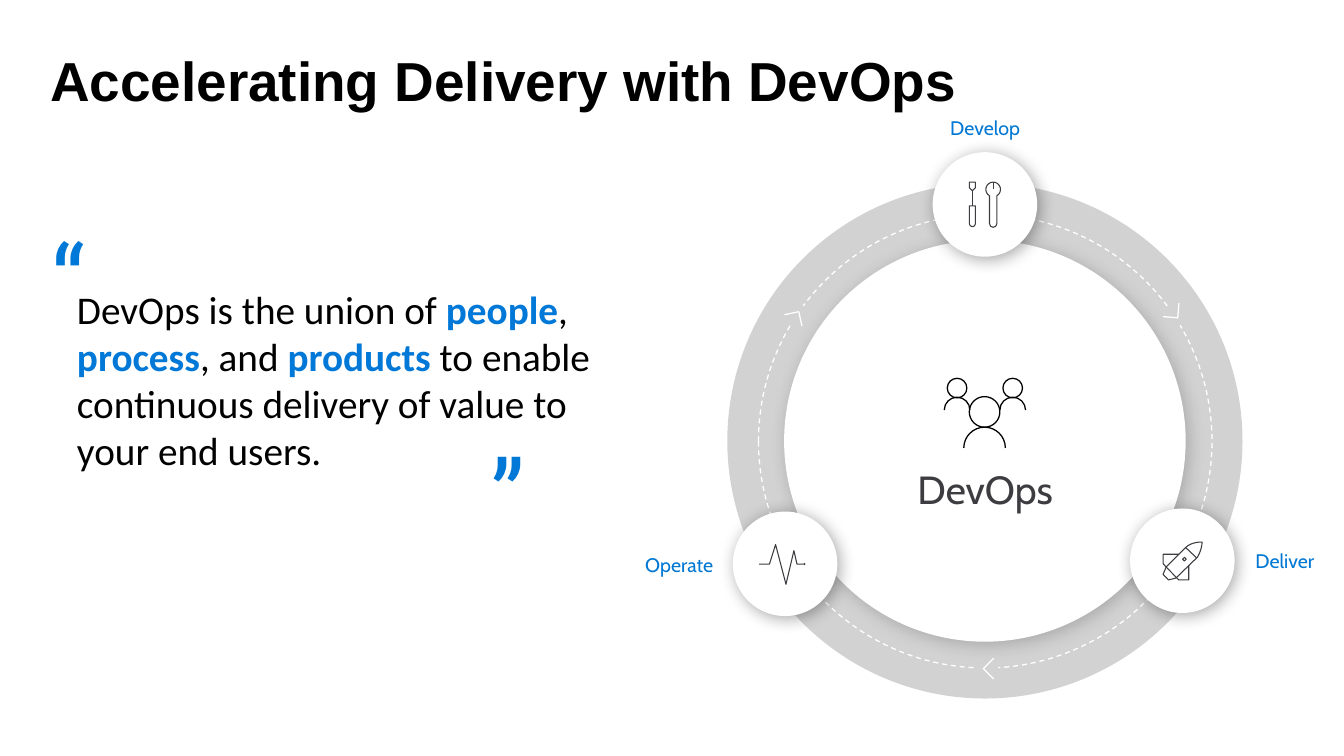
from dataclasses import dataclass
from math import ceil, cos, radians, sin, tan

from lxml.etree import SubElement
from pptx import Presentation
from pptx.dml.color import RGBColor
from pptx.enum.dml import MSO_LINE
from pptx.enum.shapes import MSO_SHAPE
from pptx.enum.text import MSO_ANCHOR, PP_ALIGN
from pptx.oxml.ns import qn
from pptx.util import Inches, Pt


@dataclass(frozen=True)
class Theme:
    black: str = "000000"
    white: str = "FFFFFF"
    ring: str = "D2D2D2"
    icon: str = "3C3C41"
    accent: str = "0078D7"
    label: str = "0078D4"
    title_size: float = 64.7
    body_size: float = 46.2
    label_size: float = 23.1
    quote_size: float = 105.5
    title_font: str = "Arial"
    body_font: str = "Calibri"
    label_font: str = "Cabin"
    quote_font: str = "Roboto Slab"


def straight(*points):
    return [point for point in points for _ in range(3)]


def corners(*points):
    return [points[0]] + straight(*points[1:])


def arc(x, y, radius, start=0, end=360):
    count = ceil((end - start) / 90)
    step = radians(end - start) / count
    reach = 4 / 3 * tan(step / 4)

    def spot(angle, pull=0):
        return (x + radius * (cos(angle) - pull * sin(angle)),
                y + radius * (sin(angle) + pull * cos(angle)))

    points = [spot(radians(start))]
    for index in range(count):
        angle = radians(start) + index * step
        points += [spot(angle, reach), spot(angle + step, -reach), spot(angle + step)]
    return points


class SlideBuilder:
    def __init__(self, page, theme):
        self.page = page
        self.theme = theme

    def finish(self, shape, fill=None, line=None, width=1.5, dash=None, shadow=None):
        shape.shadow.inherit = False
        if fill:
            shape.fill.solid()
            shape.fill.fore_color.rgb = RGBColor.from_string(fill)
        else:
            shape.fill.background()
        if line:
            shape.line.color.rgb = RGBColor.from_string(line)
            shape.line.width = Pt(width)
            shape.line.dash_style = dash
        else:
            shape.line.fill.background()
        if shadow:
            self.cast_shadow(shape, shadow)
        return shape

    def cast_shadow(self, shape, opacity):
        effects = shape._element.spPr.find(qn("a:effectLst"))
        outer = SubElement(effects, qn("a:outerShdw"), blurRad=str(Pt(20)),
                           dist=str(Pt(4)), dir=str(45 * 60000), rotWithShape="0")
        color = SubElement(outer, qn("a:srgbClr"), val=self.theme.black)
        SubElement(color, qn("a:alpha"), val=str(opacity * 1000))

    def shape(self, kind, x, y, width, height, rotation=0, **style):
        shape = self.page.shapes.add_shape(
            kind, Inches(x), Inches(y), Inches(width), Inches(height))
        shape.rotation = rotation
        return self.finish(shape, **style)

    def circle(self, x, y, diameter, **style):
        return self.shape(MSO_SHAPE.OVAL, x, y, diameter, diameter, **style)

    def outline(self, strokes, **style):
        scaled = [([(Inches(x), Inches(y)) for x, y in points], closed)
                  for points, closed in strokes]
        builder = self.page.shapes.build_freeform(*scaled[0][0][0])
        for index, (points, closed) in enumerate(scaled):
            if index:
                builder.move_to(*points[0])
            builder.add_line_segments(points[1:], close=closed)
        return self.finish(builder.convert_to_shape(), **style)

    def curves(self, strokes, **style):
        shape = self.outline(strokes, **style)
        lines = list(shape._element.iter(qn("a:lnTo")))
        for curve, *others in zip(lines[::3], lines[1::3], lines[2::3]):
            curve.tag = qn("a:cubicBezTo")
            for other in others:
                curve.append(other[0])
                other.getparent().remove(other)

    def arrow(self, block_x, block_y, tip_x, tip_y, back):
        ring, white = self.theme.ring, self.theme.white
        self.shape(MSO_SHAPE.RECTANGLE, block_x, block_y, 0.35, 0.33, back, fill=ring)
        first, last = [(tip_x + 0.24 * cos(radians(back + turn)),
                        tip_y + 0.24 * sin(radians(back + turn))) for turn in (-45, 45)]
        self.outline([([first, (tip_x, tip_y), last], False)], fill=ring, line=white)

    def text(self, x, y, width, height, spans, font, size, align=PP_ALIGN.LEFT,
             anchor=MSO_ANCHOR.TOP, wrap=False, inset=(0, 0), spacing=None):
        box = self.page.shapes.add_textbox(
            Inches(x), Inches(y), Inches(width), Inches(height))
        side, edge = map(Inches, inset)
        frame_format = {
            "word_wrap": wrap, "vertical_anchor": anchor,
            "margin_left": side, "margin_right": side,
            "margin_top": edge, "margin_bottom": edge,
        }
        for name, value in frame_format.items():
            setattr(box.text_frame, name, value)
        para = box.text_frame.paragraphs[0]
        para.alignment = align
        para.line_spacing = spacing
        for words, color, bold in spans:
            span = para.add_run()
            span.text = words
            for name, value in {"name": font, "size": Pt(size), "bold": bold}.items():
                setattr(span.font, name, value)
            span.font.color.rgb = RGBColor.from_string(color)

    def label(self, x, y, width, words, align, size, color, side=0.33):
        self.text(x, y, width, 0.49, [(words, color, False)], self.theme.label_font,
                  size, align, MSO_ANCHOR.MIDDLE, inset=(side, 0))


TOOLS = [
    (arc(16.25, 3.1, 0.12, 120, 420) + straight((16.31, 3.66))
     + arc(16.25, 3.66, 0.06, 0, 180)[1:], True),
    (corners((15.86, 3.37), (15.96, 3.37), (15.96, 3.66))
     + arc(15.91, 3.66, 0.05, 0, 180)[1:], True),
    (corners((15.96, 2.98), (15.86, 2.98), (15.86, 3.07), (15.91, 3.12),
             (15.96, 3.07)), True),
    (corners((15.91, 3.12), (15.91, 3.37)), False),
    (corners((16.25, 2.98), (16.25, 3.1)), False),
]
PULSE = [
    (corners((12.42, 9.23), (12.59, 9.23), (12.69, 8.91), (12.86, 9.56),
             (12.99, 9.01), (13.04, 9.23), (13.14, 9.23)), False),
    (arc(13.16, 9.23, 0.01), True),
]
ROCKET = [
    ([(19.67, 8.87), (19.66, 9.02), (19.59, 9.12), (19.59, 9.12)]
     + straight((19.24, 9.46), (19.12, 9.49), (19.03, 9.4), (19.08, 9.28), (19.4, 8.96))
     + [(19.5, 8.86), (19.67, 8.87), (19.67, 8.87)], True),
    (corners((19.4, 8.96), (19.58, 9.13)), False),
    (corners((19.29, 9.07), (19.03, 9.07), (19.03, 9.22), (19.08, 9.28)), False),
    (corners((19.08, 9.28), (19.29, 9.49), (19.45, 9.49), (19.45, 9.25)), False),
    (arc(19.38, 9.15, 0.03), True),
]
TEAM = [
    (arc(16.11, 6.74, 0.25), True),
    (arc(16.11, 7.33, 0.34, 180, 360), False),
]
for member_x in (15.66, 16.57):
    TEAM += [(arc(member_x, 6.35, 0.16), True),
             (arc(member_x, 6.71, 0.21, 180, 360), False)]

STATIONS = [
    ("Develop", 14.94, 1.85, 2.36, PP_ALIGN.CENTER, 15.26, 2.49, TOOLS),
    ("Operate", 10, 8.99, 2, PP_ALIGN.RIGHT, 11.99, 8.37, PULSE),
    ("Deliver", 20.21, 8.93, 1.78, PP_ALIGN.LEFT, 18.49, 8.32, ROCKET),
]
ARROWS = [
    (19.06, 4.99, 19.27, 5.2, 229.4),
    (12.86, 4.98, 13.07, 5.1, 122.8),
    (15.98, 10.78, 16.09, 10.94, 0),
]


def main():
    deck = Presentation()
    deck.slide_width, deck.slide_height = Inches(21.99), Inches(12.37)
    page = deck.slides.add_slide(deck.slide_layouts[6])
    theme = Theme()
    slide = SlideBuilder(page, theme)
    slide.text(0.82, 1.12, 20.39, 0.76,
               [("Accelerating Delivery with DevOps", theme.black, True)],
               theme.title_font, theme.title_size, wrap=True, spacing=Pt(51.7))
    plain, strong = (theme.black, False), (theme.accent, True)
    slide.text(1.26, 4.67, 9.19, 3.77, [
        ("DevOps is the union of ", *plain), ("people", *strong), (", ", *plain),
        ("process", *strong), (", and ", *plain), ("products", *strong),
        (" to enable continuous delivery of value to your end users.", *plain),
    ], theme.body_font, theme.body_size, wrap=True)
    slide.circle(11.9, 3, 8.43, fill=theme.ring)
    slide.circle(12.41, 3.51, 7.42, line=theme.white, dash=MSO_LINE.DASH)
    for arrow in ARROWS:
        slide.arrow(*arrow)
    slide.circle(12.83, 3.93, 6.57, fill=theme.white, shadow=19)
    slide.curves(TEAM, line=theme.black)
    slide.label(14.94, 7.75, 2.36, "DevOps", PP_ALIGN.CENTER,
                theme.body_size, theme.icon, side=0)
    for words, x, y, width, align, disc_x, disc_y, icon in STATIONS:
        slide.label(x, y, width, words, align, theme.label_size, theme.label)
        slide.circle(disc_x, disc_y, 1.71, fill=theme.white, shadow=35)
        slide.curves(icon, line=theme.icon, width=1.25)
    for mark, x, y in (("“", 0.76, 3.56), ("”", 7.95, 7.09)):
        slide.text(x, y, 1.26, 1.88, [(mark, theme.accent, False)],
                   theme.quote_font, theme.quote_size, inset=(0.1, 0.05))
    deck.save("out.pptx")


if __name__ == "__main__":
    main()
